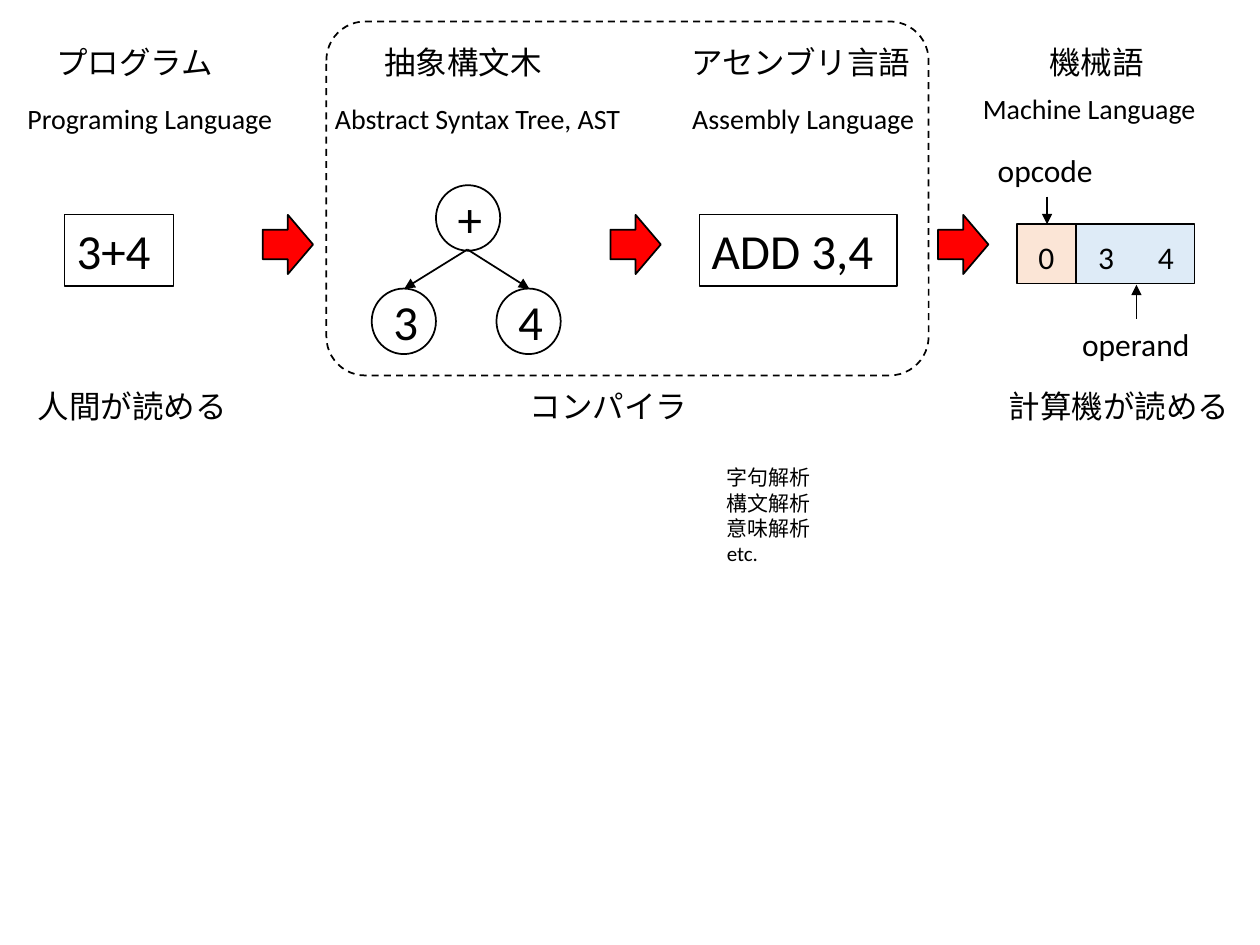
"""Build a slide showing how a compiler turns a program into machine language."""
import pptx
import pptx.util
import pptx.dml.color
import pptx.enum.dml
import pptx.enum.shapes
import pptx.enum.text
import pptx.oxml
import pptx.oxml.ns

kinds = pptx.enum.shapes.MSO_SHAPE
align = pptx.enum.text.PP_ALIGN
fit = pptx.enum.text.MSO_AUTO_SIZE
color = pptx.dml.color.RGBColor.from_string

deck = pptx.Presentation()
deck.slide_width = pptx.util.Inches(10)
deck.slide_height = pptx.util.Inches(7.5)
slide = deck.slides.add_slide(deck.slide_layouts[6])
cell = deck.slide_width / 100


def draw(box, text="", size=18, kind=None, fill=None, line=1, mid=False, wrap=True):
    """Add a text box or a preset shape, placed in grid cells."""
    place = [round(n * cell) for n in box]
    if kind is None:
        shape = slide.shapes.add_textbox(*place)
    else:
        shape = slide.shapes.add_shape(kind, *place)
        shape.shadow.inherit = False
        shape.line.color.rgb = color("000000")
        shape.line.width = pptx.util.Pt(line)
        if fill:
            shape.fill.solid()
            shape.fill.fore_color.rgb = color(fill)
        else:
            shape.fill.background()
    if text:
        frame = shape.text_frame
        frame.text = text
        frame.word_wrap = wrap
        if kind == kinds.OVAL:
            frame.vertical_anchor = pptx.enum.text.MSO_ANCHOR.MIDDLE
        else:
            frame.vertical_anchor = pptx.enum.text.MSO_ANCHOR.TOP
            frame.auto_size = fit.SHAPE_TO_FIT_TEXT
        for para in frame.paragraphs:
            para.alignment = align.CENTER if mid else align.LEFT
            for run in para.runs:
                run.font.name = "Calibri"
                run.font.size = pptx.util.Pt(size)
                run.font.color.rgb = color("000000")
    return shape


def link(*ends):
    """Join two grid points with an arrow."""
    line = slide.shapes.add_connector(
        pptx.enum.shapes.MSO_CONNECTOR.STRAIGHT, *[round(n * cell) for n in ends])
    line.line.color.rgb = color("000000")
    line.line.width = pptx.util.Pt(1)
    tip = pptx.oxml.parse_xml(
        f'<a:tailEnd {pptx.oxml.ns.nsdecls("a")} type="triangle"/>')
    line.line._get_or_add_ln().append(tip)
    line._element.spPr.append(
        pptx.oxml.parse_xml(f'<a:effectLst {pptx.oxml.ns.nsdecls("a")}/>'))


for left, wide, text in [(3.5, 14.6, "プログラム"), (29.5, 15.7, "抽象構文木"),
                         (53.9, 20.5, "アセンブリ言語"), (82.3, 11, "機械語")]:
    draw((left, 2.9, wide, 4), text)

for left, top, wide, text, mid in [(1.2, 7.6, 22, "Programing Language", False),
                                   (25.6, 7.6, 27.6, "Abstract Syntax Tree, AST", False),
                                   (53.9, 7.6, 19.7, "Assembly Language", True),
                                   (76.8, 6.8, 19.3, "Machine Language", True)]:
    draw((left, top, wide, 3.7), text, 16, mid=mid)

for left, wide, text in [(5.1, 8.7, "3+4"), (55.5, 15.7, "ADD 3,4")]:
    draw((left, 17, wide, 5.7), text, 28, kinds.RECTANGLE, line=0.75)

for left, top, text in [(34.6, 14.7, "+"), (29.5, 22.9, "3"), (39.4, 22.9, "4")]:
    draw((left, top, 5.1, 5.2), text, 28, kinds.OVAL, mid=True)

for left in (20.5, 48.1, 74.1):
    draw((left, 17.4, 4.7, 4), kind=kinds.DOWN_ARROW, fill="FF0000").rotation = 270

for left, wide, fill in [(80.7, 4.7, "FBE5D6"), (85.4, 9.4, "DEEBF7")]:
    draw((left, 17.8, wide, 4.7), kind=kinds.RECTANGLE, fill=fill)
for col, text in enumerate("034"):
    draw((80.7 + 4.74 * col, 18.4, 4.7, 4), text, mid=True)

for left, top, wide, text, mid in [(2, 30.2, 17.2, "人間が読める", False),
                                   (41, 30.2, 14.6, "コンパイラ", True),
                                   (79.1, 30.2, 19.7, "計算機が読める", False),
                                   (78.2, 11.5, 9.7, "opcode", False),
                                   (84.9, 25.3, 10.6, "operand", False)]:
    draw((left, top, wide, 4), text, mid=mid, wrap=False)

for ends in [(37.1, 19.8, 32.1, 22.9), (37.1, 19.8, 42, 22.9),
             (83.1, 15.6, 83.1, 17.8), (90.2, 25.3, 90.2, 22.6)]:
    link(*ends)

frame = draw((25.9, 1.7, 47.8, 28.1), kind=kinds.ROUNDED_RECTANGLE)
frame.adjustments[0] = 0.11
frame.line.dash_style = pptx.enum.dml.MSO_LINE.DASH

draw((56.7, 36.4, 8.8, 9.1), "字句解析\n構文解析\n意味解析\netc.", 12, wrap=False)

deck.save("out.pptx")
